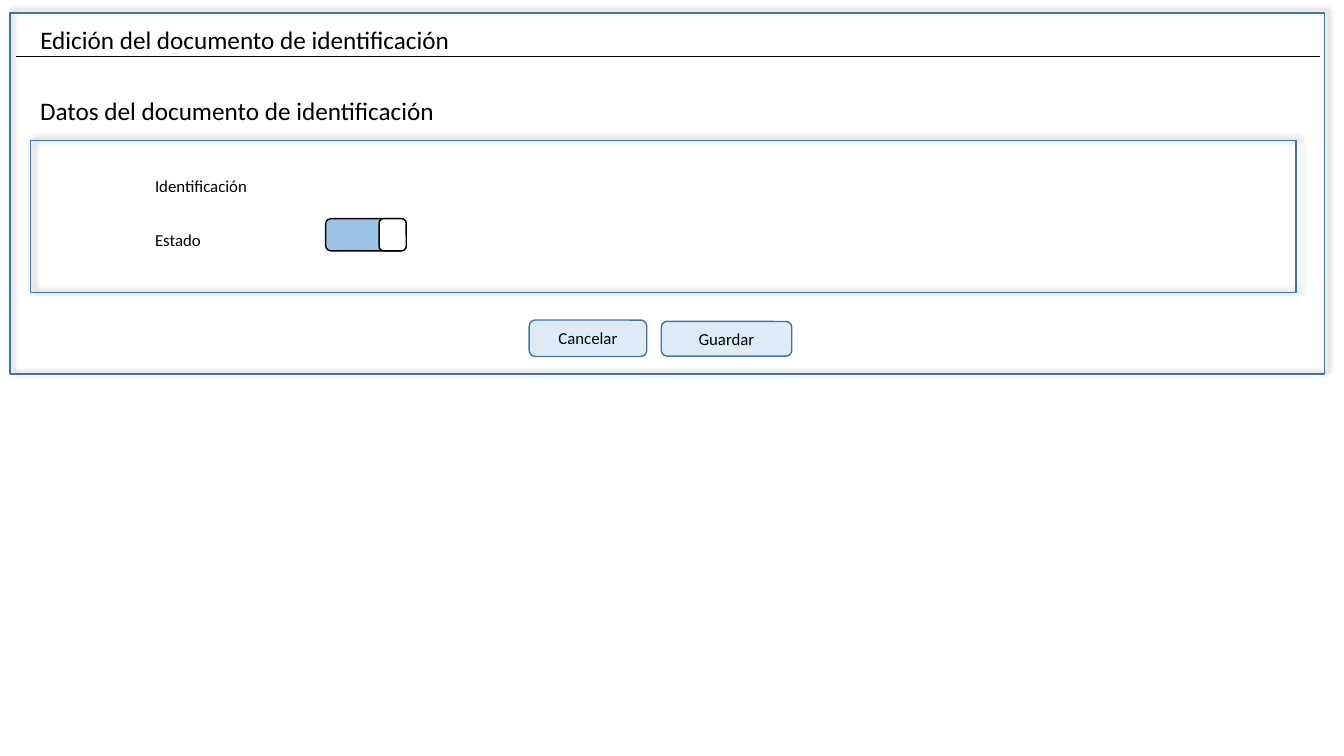
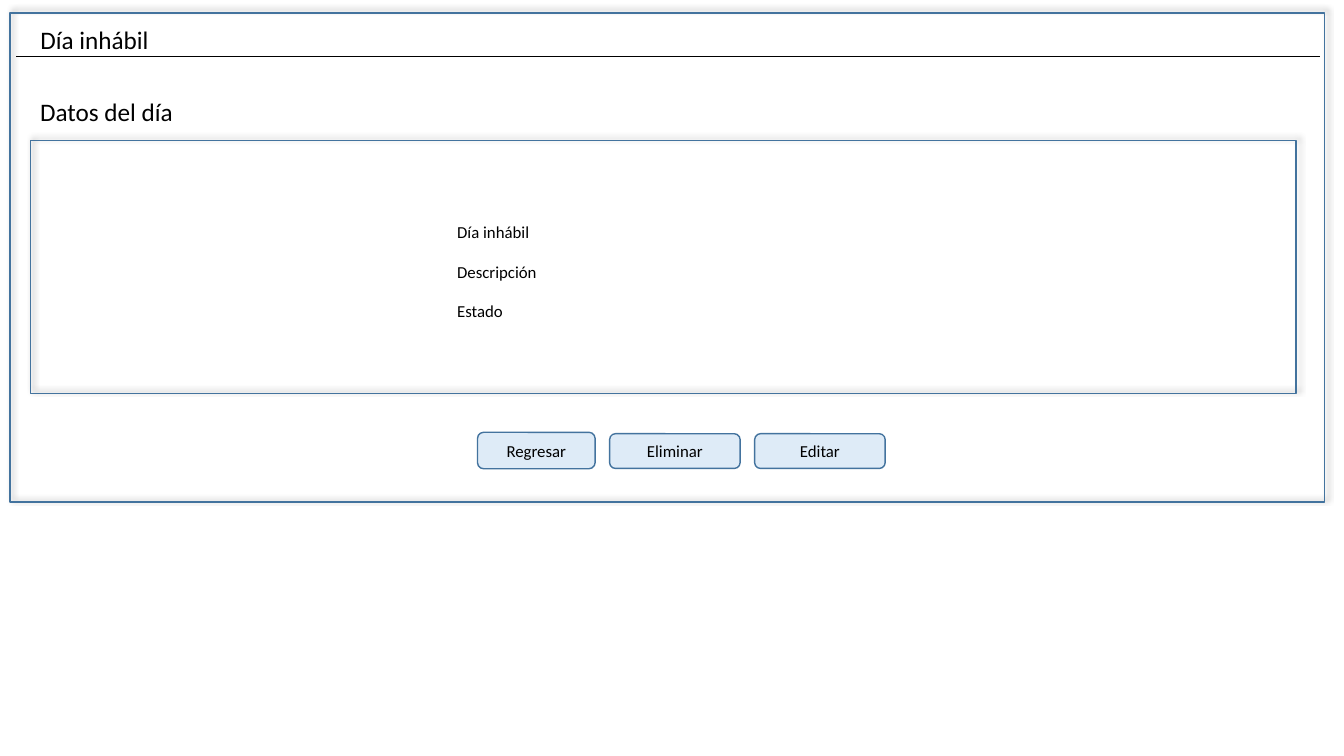
"""Builds two form mock-ups: a document edit form and a day detail form."""
from lxml.etree import SubElement
from pptx import Presentation
from pptx.dml.color import RGBColor
from pptx.enum.shapes import MSO_CONNECTOR as Connector, MSO_SHAPE as Preset
from pptx.enum.text import MSO_ANCHOR as Anchor, MSO_AUTO_SIZE as AutoSize, PP_ALIGN as Align
from pptx.oxml.ns import qn
from pptx.util import Pt

BLACK = RGBColor(0x00, 0x00, 0x00)
WHITE = RGBColor(0xFF, 0xFF, 0xFF)
BORDER_BLUE = RGBColor(0x43, 0x73, 0x9E)
BUTTON_BLUE = RGBColor(0xDE, 0xEB, 0xF7)
SWITCH_BLUE = RGBColor(0x9D, 0xC3, 0xE6)

TITLE_ONLY_LAYOUT = 5
HEADING_SIZE = 18
LABEL_SIZE = 12
BUTTON_GAP = 10.4
SHADOW = {"blurRad": Pt(4), "dist": Pt(3), "dir": 315 * 60000, "algn": "bl", "rotWithShape": 0}


class FormDeck:
    """Holds the form style and the slide being drawn."""

    def __init__(self):
        self.presentation = Presentation()
        self.presentation.slide_width = Pt(960)
        self.presentation.slide_height = Pt(540)
        self.slide = None

    def apply(self, target, values):
        for name, value in values.items():
            setattr(target, name, value)

    def fill_text(self, shape, text, size, frame_format, alignment=Align.LEFT):
        self.apply(shape.text_frame, {"word_wrap": True, **frame_format})
        paragraph = shape.text_frame.paragraphs[0]
        paragraph.alignment = alignment
        run = paragraph.add_run()
        run.text = text
        self.apply(run.font, {"name": "Calibri", "size": Pt(size)})
        run.font.color.rgb = BLACK

    def box(self, preset, left, top, width, height, fill=None, line=BORDER_BLUE):
        shape = self.slide.shapes.add_shape(preset, Pt(left), Pt(top), Pt(width), Pt(height))
        shape.shadow.inherit = False
        if fill is None:
            shape.fill.background()
        else:
            shape.fill.solid()
            shape.fill.fore_color.rgb = fill
        shape.line.color.rgb = line
        shape.line.width = Pt(1)
        return shape

    def panel(self, left, top, width, height):
        shape = self.box(Preset.RECTANGLE, left, top, width, height)
        effects = shape.element.spPr.find(qn("a:effectLst"))
        attributes = {name: str(value) for name, value in SHADOW.items()}
        shadow = SubElement(effects, qn("a:outerShdw"), attributes)
        color = SubElement(shadow, qn("a:srgbClr"), val=str(BLACK))
        SubElement(color, qn("a:alpha"), val="40000")

    def text(self, text, left, top, width, height, size):
        shape = self.slide.shapes.add_textbox(Pt(left), Pt(top), Pt(width), Pt(height))
        self.fill_text(shape, text, size, {"auto_size": AutoSize.SHAPE_TO_FIT_TEXT})

    def title(self, text):
        shape = self.slide.shapes.title
        self.apply(shape, {"left": Pt(21.6), "top": Pt(13.7), "width": Pt(347.8), "height": Pt(28.8)})
        frame_format = {"auto_size": AutoSize.NONE, "vertical_anchor": Anchor.TOP}
        self.fill_text(shape, text, HEADING_SIZE, frame_format)

    def rule(self, left, right, top):
        line = self.slide.shapes.add_connector(Connector.STRAIGHT, Pt(left), Pt(top), Pt(right), Pt(top))
        line.line.color.rgb = BLACK
        line.line.width = Pt(0.5)
        SubElement(line.element.spPr, qn("a:effectLst"))

    def form(self, title, heading, heading_top, frame_height, panel_height):
        layout = self.presentation.slide_layouts[TITLE_ONLY_LAYOUT]
        self.slide = self.presentation.slides.add_slide(layout)
        self.panel(7.2, 9.4, 938.8, frame_height)
        self.panel(21.6, 100.2, 904.3, panel_height)
        self.title(title)
        self.text(heading, 21.6, heading_top, 338.4, 28.8, HEADING_SIZE)
        self.rule(11.5, 943.2, 40.3)

    def labels(self, left, top, pitch, texts):
        for index, text in enumerate(texts):
            self.text(text, left, top + index * pitch, 242.6, 21.6, LABEL_SIZE)

    def buttons(self, left, top, texts):
        for index, text in enumerate(texts):
            width, height, drop = (93.2, 24.8, 1) if index else (84, 26, 0)
            shape = self.box(Preset.ROUNDED_RECTANGLE, left, top + drop, width, height, BUTTON_BLUE)
            self.fill_text(shape, text, LABEL_SIZE, {"vertical_anchor": Anchor.MIDDLE}, Align.CENTER)
            left += width + BUTTON_GAP

    def switch(self, left, top, width, height, knob_width):
        self.box(Preset.ROUNDED_RECTANGLE, left, top, width, height, SWITCH_BLUE, BLACK)
        knob_left = left + width - knob_width
        self.box(Preset.ROUNDED_RECTANGLE, knob_left, top, knob_width, height, WHITE, BLACK)


deck = FormDeck()

deck.form("Edición del documento de identificación", "Datos del documento de identificación",
          heading_top=64.8, frame_height=257.8, panel_height=108.7)
deck.labels(103.7, 121.7, 38.9, ["Identificación", "Estado"])
deck.switch(232.6, 156.2, 57.6, 23, knob_width=19.4)
deck.buttons(378, 228.6, ["Cancelar", "Guardar"])

deck.form("Día inhábil", "Datos del día",
          heading_top=65.5, frame_height=349.2, panel_height=180.7)
deck.labels(319.5, 154.8, 28.4, ["Día inhábil", "Descripción", "Estado"])
deck.buttons(341.1, 308.8, ["Regresar", "Eliminar", "Editar"])

deck.presentation.save("out.pptx")
